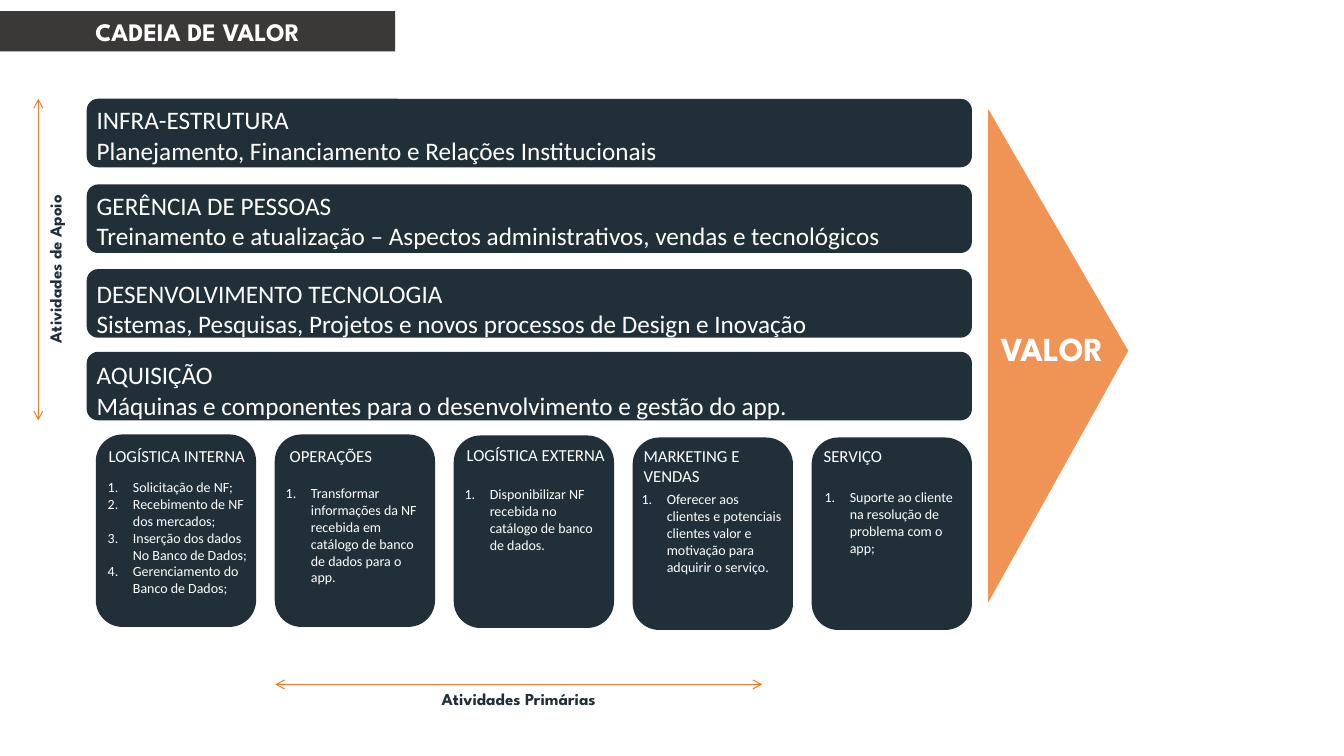
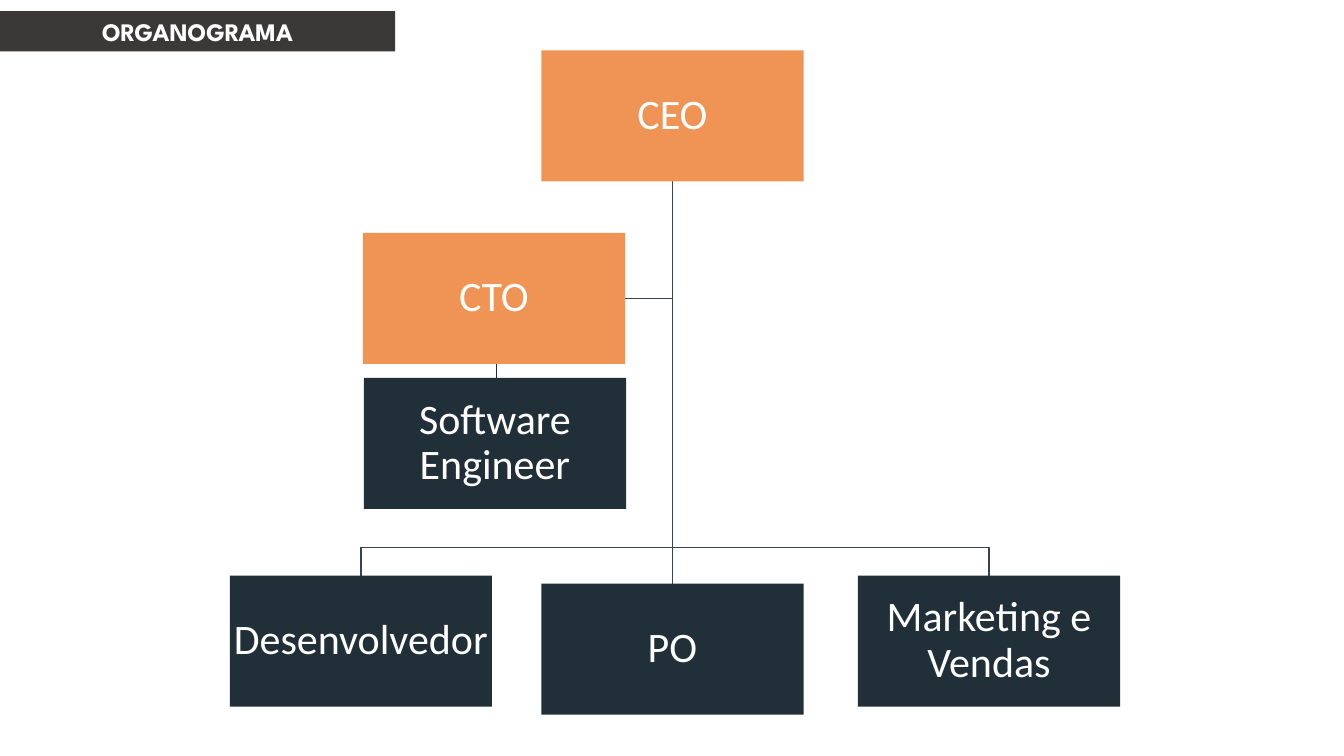
from lxml import etree
from pptx import Presentation
from pptx.dml.color import RGBColor
from pptx.enum.shapes import MSO_CONNECTOR as Connector, MSO_SHAPE as Shape
from pptx.enum.text import MSO_ANCHOR as Anchor, MSO_AUTO_SIZE as AutoSize, PP_ALIGN as Align
from pptx.oxml.ns import qn
from pptx.util import Inches, Pt

NAVY, ORANGE, CHARCOAL, WHITE = "202F38", "F09456", "3B3838", "FFFFFF"
ARROW_ORANGE, BRANCH_GRAY = "ED7D31", "364355"
BODY_FONT, TITLE_FONT = "Calibri", "League Spartan"
TITLE_BOX = (0, 0.11, 3.92, 0.4)

SUPPORT_ROWS = [
    (0.98, 0.01, "INFRA-ESTRUTURA", "Planejamento, Financiamento e Relações Institucionais"),
    (1.83, 0.01, "GERÊNCIA DE PESSOAS",
     "Treinamento e atualização – Aspectos administrativos, vendas e tecnológicos"),
    (2.67, 0.04, "DESENVOLVIMENTO TECNOLOGIA",
     "Sistemas, Pesquisas, Projetos e novos processos de Design e Inovação"),
    (3.49, 0.03, "AQUISIÇÃO", "Máquinas e componentes para o desenvolvimento e gestão do app."),
]
PRIMARY_CARDS = [
    (4.31, (0.03, 0.06), (0.02, 0.39), "LOGÍSTICA INTERNA",
     ["Solicitação de NF;", "Recebimento de NF dos mercados;",
      "Inserção dos dados No Banco de Dados;", "Gerenciamento do Banco de Dados;"]),
    (4.31, (0.05, 0.06), (0.01, 0.45), "OPERAÇÕES",
     ["Transformar informações da NF recebida em catálogo de banco de dados para o app."]),
    (4.32, (0.03, 0.04), (0.01, 0.45), "LOGÍSTICA EXTERNA",
     ["Disponibilizar NF recebida no catálogo de banco de dados."]),
    (4.34, (0.01, 0.03), (-0.01, 0.48), "MARKETING E VENDAS",
     ["Oferecer aos clientes e potenciais clientes valor e motivação para adquirir o serviço."]),
    (4.34, (0.02, 0.03), (0.03, 0.46), "SERVIÇO",
     ["Suporte ao cliente na resolução de problema com o app;"]),
]


def color(value):
    """Turn a hex string into a colour."""
    return RGBColor.from_string(value)


def inches(*values):
    """Turn numbers into lengths."""
    return [Inches(value) for value in values]


def write(frame, *texts, size=18, font=BODY_FONT, ink=WHITE, bold=False, align=Align.LEFT,
          anchor=Anchor.TOP, spacing=None, numbered=False, inset=None):
    """Write one paragraph per text in a frame."""
    frame.word_wrap, frame.auto_size, frame.vertical_anchor = True, AutoSize.NONE, anchor
    if inset is not None:
        frame.margin_left = frame.margin_right = Inches(inset)
        frame.margin_top = frame.margin_bottom = Inches(inset)
    for index, text in enumerate(texts):
        paragraph = frame.add_paragraph() if index else frame.paragraphs[0]
        paragraph.alignment = align
        if spacing:
            paragraph.line_spacing = spacing
        run = paragraph.add_run()
        run.text = text
        run.font.size, run.font.name, run.font.bold = Pt(size), font, bold
        run.font.color.rgb = color(ink)
        if numbered:
            properties = paragraph._p.get_or_add_pPr()
            properties.set("marL", str(Inches(0.25)))
            properties.set("indent", str(Inches(-0.25)))
            etree.SubElement(properties, qn("a:buAutoNum"), type="arabicPeriod")


def add_label(slide, box, *texts, rotation=0, **style):
    """Add a text box."""
    label = slide.shapes.add_textbox(*inches(*box))
    label.rotation = rotation
    write(label.text_frame, *texts, **style)


def add_block(slide, kind, box, fill):
    """Add a filled shape without outline."""
    shape = slide.shapes.add_shape(kind, *inches(*box))
    shape.shadow.inherit = False
    shape.fill.solid()
    shape.fill.fore_color.rgb = color(fill)
    shape.line.fill.background()
    return shape


def add_line(slide, start, end, ink, width, arrows=False):
    """Add a straight line, with an arrowhead at both ends on demand."""
    connector = slide.shapes.add_connector(Connector.STRAIGHT, *inches(*start, *end))
    connector.line.color.rgb = color(ink)
    connector.line.width = Pt(width)
    if arrows:
        for end_tag in ("a:headEnd", "a:tailEnd"):
            etree.SubElement(connector.line._get_or_add_ln(), qn(end_tag), type="arrow")
    etree.SubElement(connector._element.spPr, qn("a:effectLst"))


def add_branch(slide, *points):
    """Add an open line through several points."""
    start, *others = [inches(*point) for point in points]
    builder = slide.shapes.build_freeform(*start)
    builder.add_line_segments(others, close=False)
    branch = builder.convert_to_shape()
    branch.shadow.inherit = False
    branch.fill.background()
    branch.line.color.rgb = color(BRANCH_GRAY)
    branch.line.width = Pt(1)


def add_titled_slide(presentation, text):
    """Add a slide with the title band."""
    slide = presentation.slides.add_slide(presentation.slide_layouts[5])
    title = slide.shapes.title
    title.left, title.top, title.width, title.height = inches(*TITLE_BOX)
    title.fill.solid()
    title.fill.fore_color.rgb = color(CHARCOAL)
    write(title.text_frame, text, font=TITLE_FONT, bold=True,
          align=Align.CENTER, anchor=Anchor.MIDDLE)
    return slide


def add_support_row(slide, box, text_drop, heading, detail):
    """Add one support activity bar."""
    left, top, width, height = box
    add_block(slide, Shape.ROUNDED_RECTANGLE, box, NAVY)
    add_label(slide, (left, top + text_drop, width, height + 0.03), heading, detail)


def add_primary_card(slide, box, heading_offset, list_offset, heading, items):
    """Add one primary activity card with its numbered list."""
    left, top, width, height = box
    add_block(slide, Shape.ROUNDED_RECTANGLE, box, NAVY)
    right, down = heading_offset
    add_label(slide, (left + right, top + down, width, 0.3), heading, size=12)
    right, down = list_offset
    add_label(slide, (left + right, top + down, width, height - down), *items,
              size=10, numbered=True)


def add_value_arrow(slide, box):
    """Add the triangle that points right, with its label."""
    left, top, width, height = box
    shift = (height - width) / 2
    triangle = add_block(slide, Shape.ISOSCELES_TRIANGLE,
                         (left - shift, top + shift, height, width), ORANGE)
    triangle.rotation = 90
    triangle.adjustments[0] = 0.49
    add_label(slide, (left - 0.06, top + 2.12, width, 0.5), "VALOR",
              size=24, font=TITLE_FONT, bold=True, align=Align.CENTER)


def add_value_chain(presentation):
    """Build the value chain slide."""
    slide = add_titled_slide(presentation, "CADEIA DE VALOR")
    for top, *content in SUPPORT_ROWS:
        add_support_row(slide, (0.86, top, 8.78, 0.68), *content)
    for index, (top, *content) in enumerate(PRIMARY_CARDS):
        add_primary_card(slide, (0.95 + 1.775 * index, top, 1.59, 1.91), *content)
    add_value_arrow(slide, (9.8, 1.08, 1.39, 4.9))
    axis_style = dict(size=12, font=TITLE_FONT, ink=NAVY, bold=True, align=Align.CENTER)
    add_line(slide, (2.73, 6.79), (7.56, 6.79), ARROW_ORANGE, 0.75, arrows=True)
    add_label(slide, (4.22, 6.78, 1.85, 0.3), "Atividades Primárias", **axis_style)
    add_line(slide, (0.38, 0.98), (0.38, 4.17), ARROW_ORANGE, 0.75, arrows=True)
    add_label(slide, (-0.39, 2.52, 1.87, 0.3), "Atividades de Apoio", rotation=270, **axis_style)


def add_role(slide, left, top, text, fill):
    """Add one box of the organisation chart."""
    role = add_block(slide, Shape.RECTANGLE, (left, top, 2.6, 1.3), fill)
    write(role.text_frame, text, size=30, align=Align.CENTER, anchor=Anchor.MIDDLE,
          spacing=0.9, inset=0.02)


def add_organisation_chart(presentation):
    """Build the organisation chart slide."""
    slide = add_titled_slide(presentation, "ORGANOGRAMA")
    trunk, start, fork = 6.67, 1.8, 5.43
    add_line(slide, (4.92, 3.42), (4.92, 3.84), NAVY, 0.5)
    add_branch(slide, (trunk, start), (trunk, 5.79))
    add_branch(slide, (trunk, 2.96), (6.2, 2.96))
    add_branch(slide, (3.58, 5.71), (3.58, fork), (9.81, fork), (9.81, 5.71))
    for role in [
        (5.37, 0.5, "CEO", ORANGE),
        (3.6, 2.31, "CTO", ORANGE),
        (3.61, 3.75, "Software Engineer", NAVY),
        (2.28, 5.71, "Desenvolvedor", NAVY),
        (5.37, 5.79, "PO", NAVY),
        (8.51, 5.71, "Marketing e Vendas", NAVY),
    ]:
        add_role(slide, *role)


def main():
    """Build and save the presentation."""
    presentation = Presentation()
    presentation.slide_width, presentation.slide_height = inches(13.33, 7.5)
    add_value_chain(presentation)
    add_organisation_chart(presentation)
    presentation.save("out.pptx")


main()
